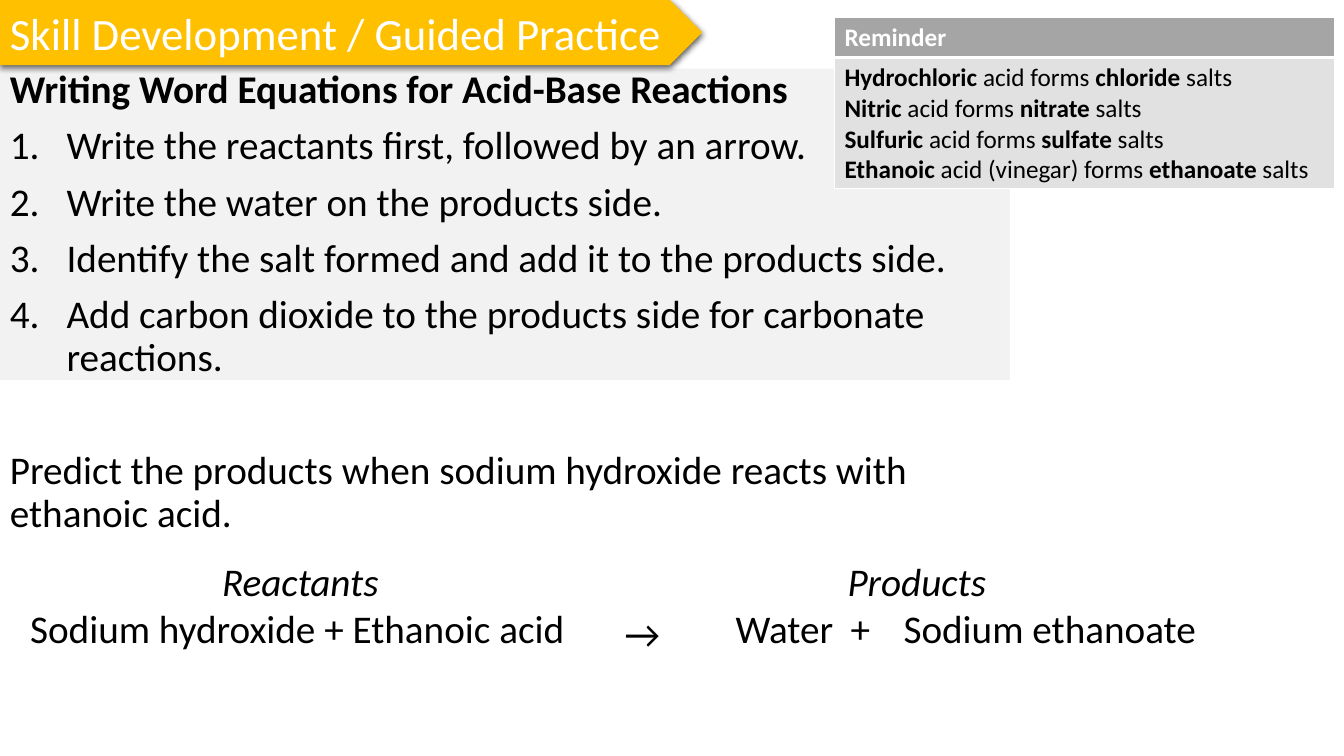
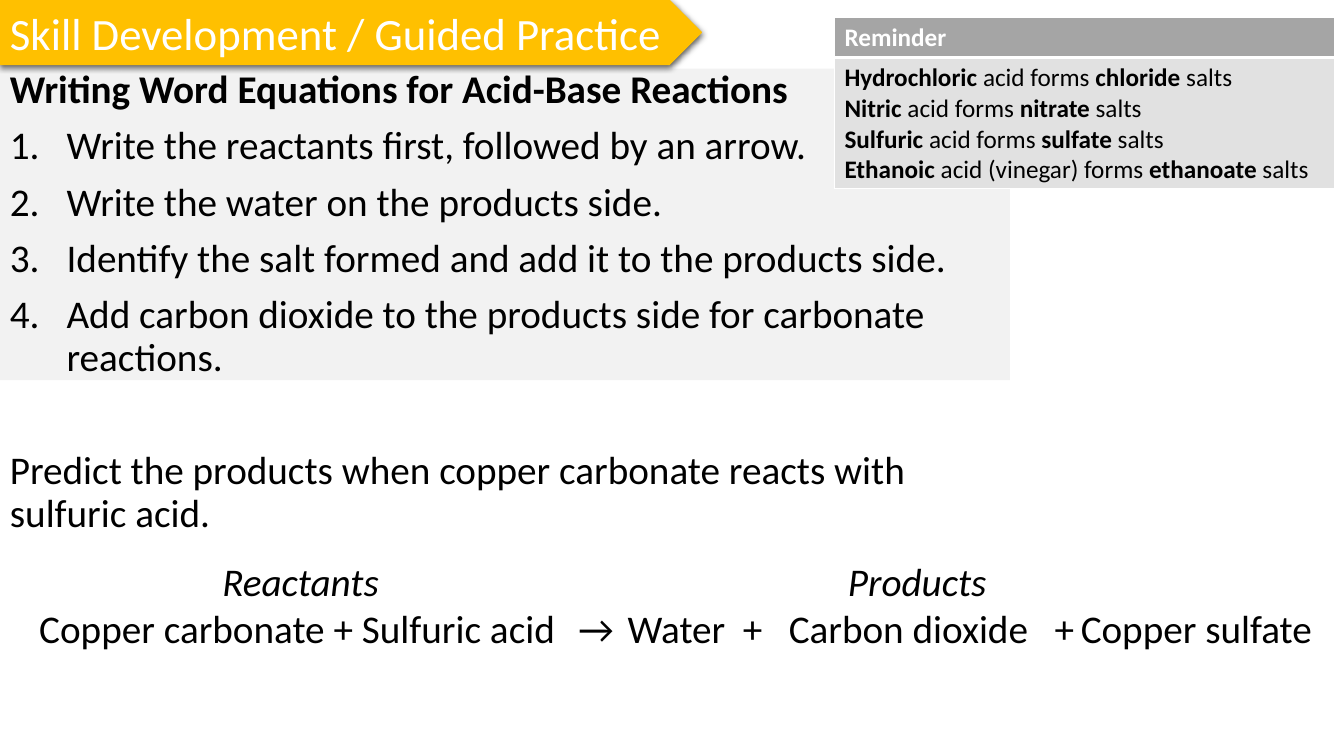
from dataclasses import dataclass

from lxml import etree
from pptx import Presentation
from pptx import util as u
from pptx.dml.color import RGBColor
from pptx.enum import shapes, text
from pptx.oxml import ns


@dataclass(frozen=True)
class Theme:
    font: str = "Calibri"
    banner: str = "FFC000"
    panel: str = "F2F2F2"
    header: str = "A5A5A5"
    cell: str = "E1E1E1"
    white: str = "FFFFFF"
    black: str = "000000"
    banner_size: int = 32
    body_size: int = 28
    table_size: int = 18


THEME = Theme()

STEPS = [
    "Write the reactants first, followed by an arrow.",
    "Write the water on the products side.",
    "Identify the salt formed and add it to the products side.",
    "Add carbon dioxide to the products side for carbonate reactions.",
]

REMINDERS = [
    ("Hydrochloric", " acid forms ", "chloride", " salts"),
    ("Nitric ", "acid forms ", "nitrate", " salts"),
    ("Sulfuric", " acid forms ", "sulfate", " salts"),
    ("Ethanoic ", "acid (vinegar) forms ", "ethanoate ", "salts"),
]

PRODUCT_TABS = (2.9, 4.06, 10.76)


@dataclass(frozen=True)
class Term:
    text: str
    left: float
    width: float
    top: float = 15.11


@dataclass(frozen=True)
class Reaction:
    question: str
    reactants: Term
    arrow: Term
    products: Term
    salt: Term


REACTIONS = [
    Reaction(
        "Predict the products when sodium hydroxide reacts with ethanoic acid.",
        Term("Sodium hydroxide + Ethanoic acid", 0.51, 14.12),
        Term("→", 15.44, 1.5, 15.24),
        Term("Water\t+", 18.29, 9.63),
        Term("Sodium ethanoate", 22.48, 7.95),
    ),
    Reaction(
        "Predict the products when copper carbonate reacts with sulfuric acid.",
        Term("Copper carbonate + Sulfuric acid", 0.74, 13.67),
        Term("→", 14.27, 1.5),
        Term("Water\t+\tCarbon dioxide\t+", 15.57, 15.09),
        Term("Copper sulfate", 26.95, 6.4),
    ),
]


def color(value):
    return RGBColor.from_string(value)


def add_element(parent, tag, **attributes):
    element = etree.SubElement(parent, ns.qn(tag))
    for name, value in attributes.items():
        element.set(name, str(value))
    return element


def style_runs(paragraph, size, fill=THEME.black, bold=False, italic=False):
    for run in paragraph.runs:
        run.font.name = THEME.font
        run.font.size = u.Pt(size)
        run.font.color.rgb = color(fill)
        run.font.bold = bold
        run.font.italic = italic


def add_block(slide, kind, left, top, width, height, fill):
    shape = slide.shapes.add_shape(
        kind, u.Cm(left), u.Cm(top), u.Cm(width), u.Cm(height)
    )
    shape.shadow.inherit = False
    shape.fill.solid()
    shape.fill.fore_color.rgb = color(fill)
    shape.line.fill.background()
    return shape


def add_text_box(slide, left, top, width, height, lines):
    box = slide.shapes.add_textbox(u.Cm(left), u.Cm(top), u.Cm(width), u.Cm(height))
    box.text_frame.word_wrap = True
    box.text_frame.text = "\n".join(lines)
    for paragraph in box.text_frame.paragraphs:
        style_runs(paragraph, THEME.body_size)
    return box.text_frame.paragraphs


def add_shadow(shape):
    effects = shape._element.spPr.find(ns.qn("a:effectLst"))
    shadow = add_element(
        effects, "a:outerShdw", blurRad=u.Pt(4.5), dist=u.Pt(1.5),
        dir=5400000, algn="t", rotWithShape=0,
    )
    shade = add_element(shadow, "a:srgbClr", val=THEME.black)
    add_element(shade, "a:alpha", val=63000)


def add_banner(slide):
    banner = add_block(
        slide, shapes.MSO_SHAPE.PENTAGON, 0, 0, 17.68, 1.63, THEME.banner
    )
    banner.line.color.rgb = color(THEME.banner)
    banner.line.width = u.Pt(0.75)
    add_shadow(banner)
    banner.text_frame.text = "Skill Development / Guided Practice"
    paragraph = banner.text_frame.paragraphs[0]
    paragraph.alignment = text.PP_ALIGN.LEFT
    style_runs(paragraph, THEME.banner_size, THEME.white)


def number_paragraph(paragraph):
    properties = paragraph._p.get_or_add_pPr()
    properties.set("marL", str(u.Cm(1.43)))
    properties.set("indent", str(-u.Cm(1.43)))
    add_element(properties, "a:buFont", typeface="+mj-lt")
    add_element(properties, "a:buAutoNum", type="arabicPeriod")


def add_instructions(slide, question):
    title = "Writing Word Equations for Acid-Base Reactions"
    heading, *steps, prompt = add_text_box(
        slide, 0, 1.63, 25.45, 12.55, [title, *STEPS, question]
    )
    style_runs(heading, THEME.body_size, bold=True)
    heading.line_spacing = 0.9
    for step in steps:
        number_paragraph(step)
        step.line_spacing = 0.9
        step.space_before = u.Pt(10)
    prompt.line_spacing = 0.9
    prompt.space_before = u.Pt(51)


def add_side(slide, label, term):
    heading, formula = add_text_box(
        slide, term.left, 13.92, term.width, 2.64, [label, term.text]
    )
    heading.alignment = text.PP_ALIGN.CENTER
    style_runs(heading, THEME.body_size, italic=True)
    tab_count = term.text.count("\t")
    if tab_count:
        tabs = add_element(formula._p.get_or_add_pPr(), "a:tabLst")
        for position in PRODUCT_TABS[:tab_count]:
            add_element(tabs, "a:tab", pos=u.Cm(position), algn="l")


def add_term(slide, term):
    paragraph, = add_text_box(
        slide, term.left, term.top, term.width, 1.45, [term.text]
    )
    paragraph.alignment = text.PP_ALIGN.CENTER


def style_cell(cell, fill, top, bottom):
    properties = cell._tc.get_or_add_tcPr()
    for side, width in zip("LRTB", (1, 1, top, bottom)):
        line = add_element(properties, f"a:ln{side}", w=u.Pt(width))
        add_element(add_element(line, "a:solidFill"), "a:srgbClr", val=THEME.white)
    cell.fill.solid()
    cell.fill.fore_color.rgb = color(fill)


def add_reminder(slide):
    table = slide.shapes.add_table(
        2, 1, u.Cm(21.03), u.Cm(0.43), u.Cm(12.6), u.Cm(4.32)
    ).table
    for row, height in zip(table.rows, (1.02, 3.3)):
        row.height = u.Cm(height)
    header, body = table.cell(0, 0), table.cell(1, 0)
    style_cell(header, THEME.header, 1, 3)
    style_cell(body, THEME.cell, 3, 1)
    header.text_frame.text = "Reminder"
    style_runs(
        header.text_frame.paragraphs[0], THEME.table_size, THEME.white, bold=True
    )
    for index, parts in enumerate(REMINDERS):
        frame = body.text_frame
        paragraph = frame.add_paragraph() if index else frame.paragraphs[0]
        for part in parts:
            paragraph.add_run().text = part
        style_runs(paragraph, THEME.table_size)
        for run in paragraph.runs[::2]:
            run.font.bold = True


def add_reaction_slide(presentation, reaction):
    slide = presentation.slides.add_slide(presentation.slide_layouts[6])
    add_block(slide, shapes.MSO_SHAPE.RECTANGLE, 0, 1.73, 25.45, 7.85, THEME.panel)
    add_banner(slide)
    add_instructions(slide, reaction.question)
    add_side(slide, "Reactants", reaction.reactants)
    add_side(slide, "Products", reaction.products)
    add_term(slide, reaction.arrow)
    add_term(slide, reaction.salt)
    add_reminder(slide)


def main():
    presentation = Presentation()
    presentation.slide_width = u.Cm(33.87)
    presentation.slide_height = u.Cm(19.05)
    for reaction in REACTIONS:
        add_reaction_slide(presentation, reaction)
    presentation.save("out.pptx")


if __name__ == "__main__":
    main()
